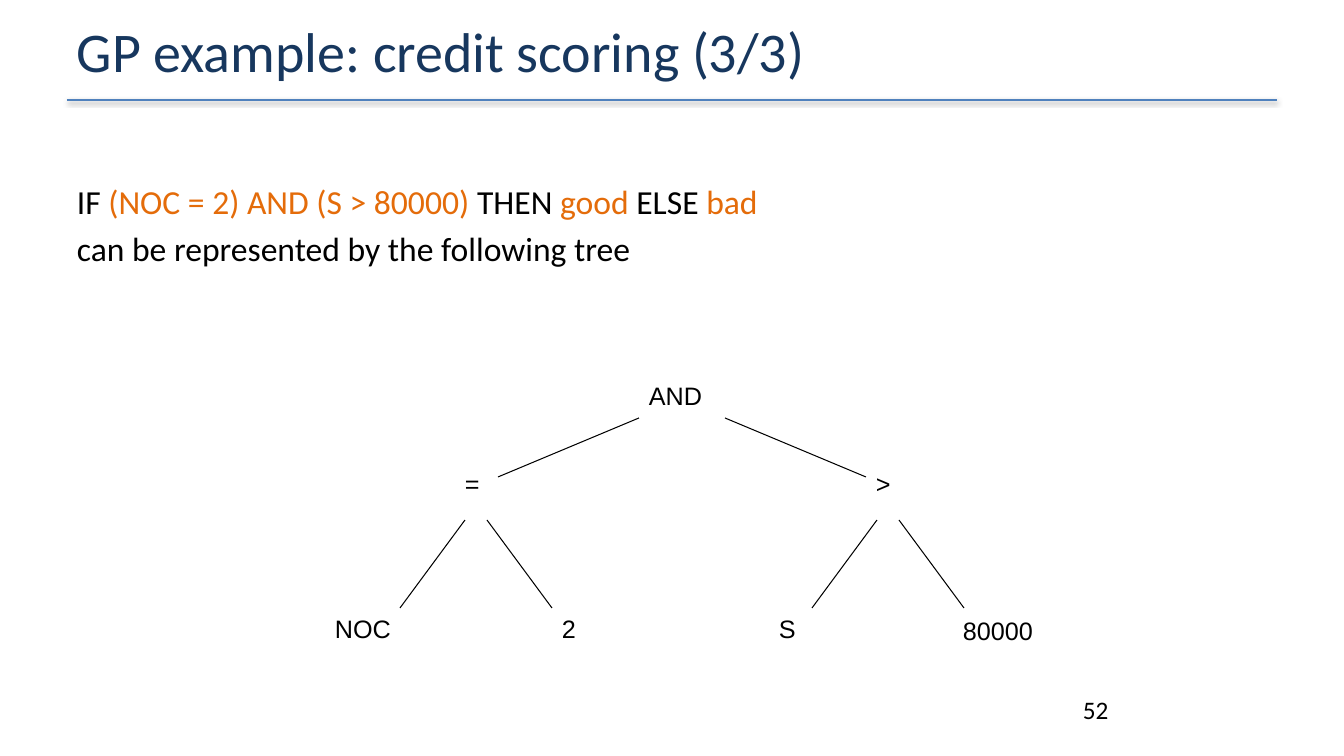
import pptx
import pptx.dml.color
import pptx.enum.shapes
import pptx.enum.text
import pptx.oxml
import pptx.oxml.ns
import pptx.util
from lxml import etree

RGB = pptx.dml.color.RGBColor
NAVY = RGB(0x17, 0x37, 0x5E)
BLUE = RGB(0x4F, 0x81, 0xBD)
ORANGE = RGB(0xE4, 0x6C, 0x0A)
BLACK = RGB(0, 0, 0)

# Content
TITLE = [[("GP example: credit scoring (3/3)", NAVY)]]
RULE_TEXT = [
    [("IF ", BLACK), ("(NOC = 2) AND (S > 80000) ", ORANGE), ("THEN ", BLACK),
     ("good ", ORANGE), ("ELSE ", BLACK), ("bad", ORANGE)],
    [("can be represented by the following tree", BLACK)],
]
PAGE_NUMBER = [[("52", BLACK)]]
# Tree nodes: label, left, top, width
NODES = [
    ("AND", 639, 375, 130),
    ("=", 455, 463, 54), (">", 866, 463, 54),
    ("NOC", 325, 608, 130), ("2", 552, 608, 54),
    ("S", 769, 608, 54), ("80000", 953, 610, 119),
]
NODE_HEIGHT = 41
# Forks: centre x, top, bottom, half gap at top, half spread at bottom
FORKS = [
    (682, 418, 477, 43, 184),
    (476, 520, 608, 11, 76),
    (888, 520, 608, 11, 76),
]
SHADOW = (
    '<a:outerShdw xmlns:a="http://schemas.openxmlformats.org/drawingml/2006/main" '
    'blurRad="40000" dist="20000" dir="5400000" rotWithShape="0">'
    '<a:srgbClr val="000000"><a:alpha val="38000"/></a:srgbClr></a:outerShdw>'
)


def px(length):
    return pptx.util.Emu(round(length * 914400 / 100.8))


def add_text(page, paragraphs, left, top, width, height, size, font="Calibri", space=0):
    box = page.shapes.add_textbox(px(left), px(top), px(width), px(height))
    frame = box.text_frame
    frame.word_wrap = True
    for index, spans in enumerate(paragraphs):
        para = frame.add_paragraph() if index else frame.paragraphs[0]
        if index:
            para.space_before = pptx.util.Pt(space)
        for text, color in spans:
            span = para.add_run()
            span.text = text
            span.font.name = font
            span.font.size = pptx.util.Pt(size)
            span.font.color.rgb = color
    return box


def add_line(page, x1, y1, x2, y2, color, width):
    line = page.shapes.add_connector(
        pptx.enum.shapes.MSO_CONNECTOR.STRAIGHT, px(x1), px(y1), px(x2), px(y2))
    line.line.color.rgb = color
    line.line.width = pptx.util.Pt(width)
    properties = line._element.spPr
    return etree.SubElement(properties, pptx.oxml.ns.qn("a:effectLst"))


def main():
    deck = pptx.Presentation()
    deck.slide_width, deck.slide_height = px(1344), px(756)
    page = deck.slides.add_slide(deck.slide_layouts[6])

    # Title and its shadowed rule
    effects = add_line(page, 67, 100, 1277, 100, BLUE, 2)
    effects.append(pptx.oxml.parse_xml(SHADOW))
    title = add_text(page, TITLE, 67, 2, 1210, 96, 40).text_frame
    title.vertical_anchor = pptx.enum.text.MSO_ANCHOR.MIDDLE
    title.margin_top = title.margin_bottom = 0

    # Body and page number
    add_text(page, RULE_TEXT, 67, 176, 1210, 535, 24, space=4.8)
    add_text(page, PAGE_NUMBER, 1073, 689, 104, 55, 18)

    # Expression tree
    for label, left, top, width in NODES:
        add_text(page, [[(label, BLACK)]], left, top, width, NODE_HEIGHT, 18, "Arial")
    for center, top, bottom, near, far in FORKS:
        for side in (-1, 1):
            add_line(page, center + side * near, top, center + side * far, bottom, BLACK, 0.75)

    deck.save("out.pptx")


if __name__ == "__main__":
    main()
